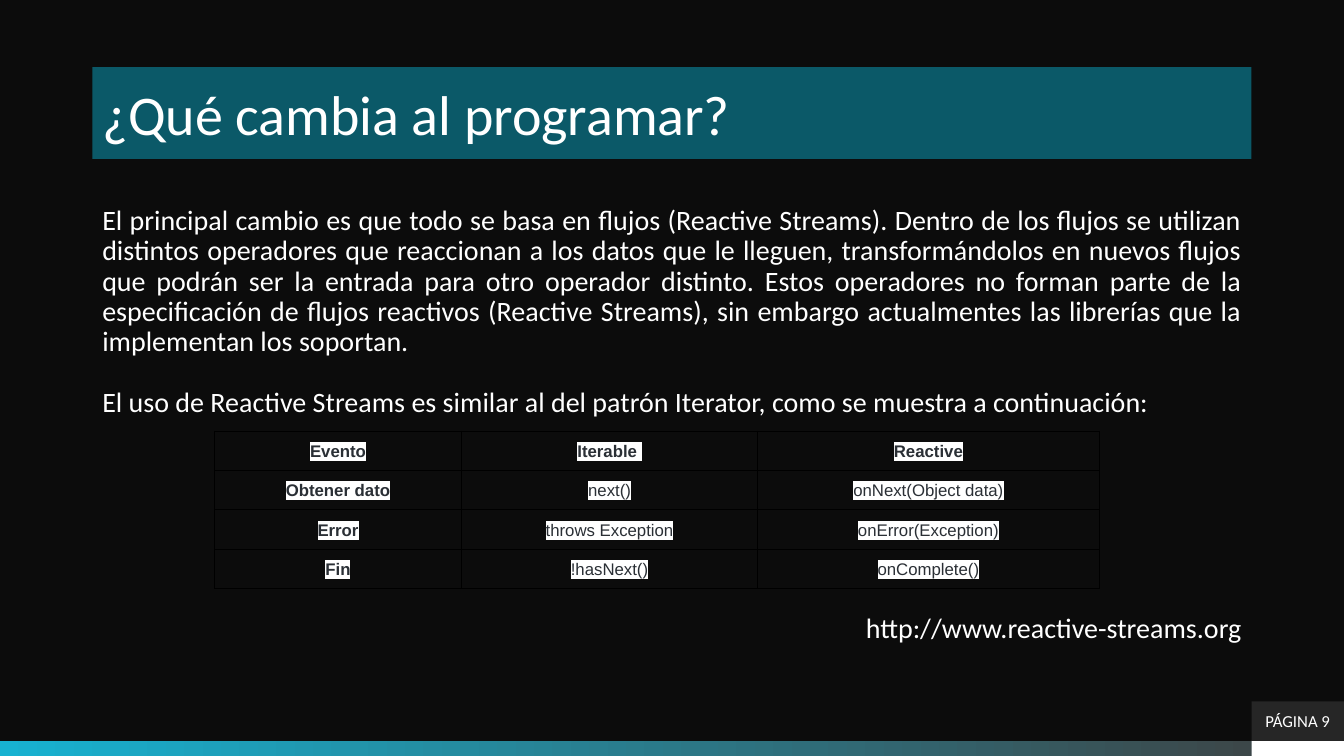
import lxml.etree
import pptx
import pptx.dml.color
import pptx.enum.shapes
import pptx.enum.text
import pptx.oxml.ns
import pptx.util

Pt = pptx.util.Pt
qn = pptx.oxml.ns.qn
ALIGN = pptx.enum.text.PP_ALIGN
MIDDLE = pptx.enum.text.MSO_ANCHOR.MIDDLE
RECT = pptx.enum.shapes.MSO_SHAPE.RECTANGLE
COLORS = {
    "background": "0C0C0C", "title": "0B5968", "white": "FFFFFF",
    "page": "262626", "cyan": "17B2D1", "gray": "3F3F3F",
    "cell_text": "2A2F35", "border": "000000",
}


def rgb(name):
    return pptx.dml.color.RGBColor.from_string(COLORS[name])


def write(p, text, size, color="white", font="Calibri", bold=False, **paragraph):
    """Add a formatted run to p and set the paragraph's own attributes."""
    for name, value in paragraph.items():
        setattr(p, name, value)
    r = p.add_run()
    r.text = text
    for name, value in {"size": Pt(size), "name": font, "bold": bold}.items():
        setattr(r.font, name, value)
    r.font.color.rgb = rgb(color)
    return r


prs = pptx.Presentation()
prs.slide_width, prs.slide_height = Pt(960), Pt(540)
s = prs.slides.add_slide(prs.slide_layouts[6])
s.background.fill.solid()
s.background.fill.fore_color.rgb = rgb("background")

# Filled rectangles: left, top, width, height, fill, text, size, alignment, vertical inset
bars = [
    (0, 529.2, 960, 10.8, None, "", 12, ALIGN.LEFT, 0),
    (894, 529.2, 66, 10.8, "white", "", 12, ALIGN.LEFT, 0),
    (66, 48, 828, 65.6, "title", "¿Qué cambia al programar?", 40, ALIGN.LEFT, 8.64),
    (894, 501, 66, 28.2, "page", "PÁGINA 9", 12, ALIGN.CENTER, 3.6),
]
for left, top, width, height, fill, text, size, align, inset in bars:
    sp = s.shapes.add_shape(RECT, Pt(left), Pt(top), Pt(width), Pt(height))
    sp.shadow.inherit = False
    sp.line.fill.background()
    if fill:
        sp.fill.solid()
        sp.fill.fore_color.rgb = rgb(fill)
    else:
        sp.fill.gradient()
        sp.fill.gradient_angle = 0
        for stop, color, position in zip(sp.fill.gradient_stops, ("cyan", "gray"), (0, 1)):
            stop.color.rgb = rgb(color)
            stop.position = position
    if text:
        tf = sp.text_frame
        tf.vertical_anchor = MIDDLE
        tf.margin_top = tf.margin_bottom = Pt(inset)
        write(tf.paragraphs[0], text, size, alignment=align)

# Body text; the space before the address leaves room for the table
body = [
    ("El principal cambio es que todo se basa en flujos (Reactive Streams). Dentro de los "
     "flujos se utilizan distintos operadores que reaccionan a los datos que le lleguen, "
     "transformándolos en nuevos flujos que podrán ser la entrada para otro operador distinto. "
     "Estos operadores no forman parte de la especificación de flujos reactivos (Reactive "
     "Streams), sin embargo actualmentes las librerías que la implementan los soportan.",
     ALIGN.JUSTIFY, 0),
    ("El uso de Reactive Streams es similar al del patrón Iterator, como se muestra a "
     "continuación:", ALIGN.JUSTIFY, 21.6),
    ("http://www.reactive-streams.org", ALIGN.RIGHT, 140),
]
tf = s.shapes.add_textbox(Pt(66), Pt(144), Pt(828), Pt(342.7)).text_frame
tf.word_wrap = True
for i, (text, align, before) in enumerate(body):
    p = tf.add_paragraph() if i else tf.paragraphs[0]
    write(p, text, 20, alignment=align, line_spacing=0.9, space_before=Pt(before))

# Table of equivalent events
events = [
    ("Evento", "Iterable ", "Reactive"),
    ("Obtener dato", "next()", "onNext(Object data)"),
    ("Error", "throws Exception", "onError(Exception)"),
    ("Fin", "!hasNext()", "onComplete()"),
]
widths = (176.5, 211.5, 244)
row_height = 27.2
table = s.shapes.add_table(len(events), len(widths), Pt(153.2), Pt(308),
                           Pt(sum(widths)), Pt(row_height * len(events))).table
table.first_row = table.horz_banding = False
for column, width in zip(table.columns, widths):
    column.width = Pt(width)
for i, values in enumerate(events):
    table.rows[i].height = Pt(row_height)
    for j, text in enumerate(values):
        cell = table.cell(i, j)
        cell.fill.background()
        for side in ("left", "right", "top", "bottom"):
            setattr(cell, "margin_" + side, Pt(5.76))
        r = write(cell.text_frame.paragraphs[0], text, 12, "cell_text", "Arial",
                  i == 0 or j == 0, alignment=ALIGN.CENTER, line_spacing=1.15)
        highlight = lxml.etree.Element(qn("a:highlight"))
        lxml.etree.SubElement(highlight, qn("a:srgbClr"), val=COLORS["white"])
        r.font._element.find(qn("a:solidFill")).addnext(highlight)
        tcPr = cell._tc.get_or_add_tcPr()
        for k, edge in enumerate(("a:lnL", "a:lnR", "a:lnT", "a:lnB")):
            ln = lxml.etree.Element(qn(edge), w=str(Pt(0.75)))
            solid = lxml.etree.SubElement(ln, qn("a:solidFill"))
            lxml.etree.SubElement(solid, qn("a:srgbClr"), val=COLORS["border"])
            tcPr.insert(k, ln)

prs.save("out.pptx")
